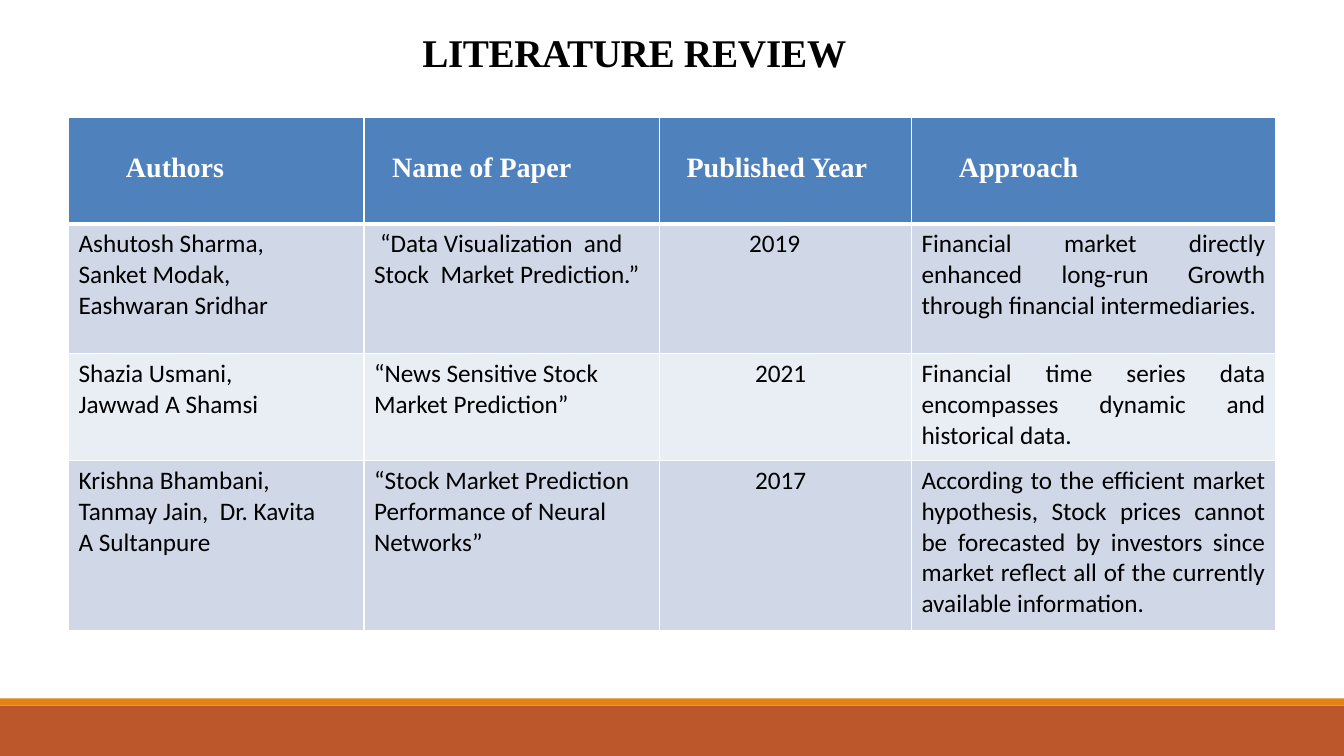
from lxml import etree
from pptx import Presentation
from pptx.dml.color import RGBColor
from pptx.enum.shapes import MSO_SHAPE
from pptx.enum.text import MSO_ANCHOR, PP_ALIGN
from pptx.oxml.ns import qn
from pptx.util import Inches, Pt

RECTANGLE = MSO_SHAPE.RECTANGLE
LEFT, JUSTIFY = PP_ALIGN.LEFT, PP_ALIGN.JUSTIFY
TOP, MIDDLE = MSO_ANCHOR.TOP, MSO_ANCHOR.MIDDLE

SLIDE_WIDTH, SLIDE_HEIGHT = 13.33, 7.5
HEADING_FONT, BODY_FONT = "Times New Roman", "Calibri"
BLACK, WHITE = "000000", "FFFFFF"
HEADER_FILL, BAND_FILLS = "4F81BD", ("D0D8E8", "E9EDF4")
CELL_MARGIN = 0.1

TABLE_LEFT, TABLE_TOP = 0.68, 1.16
COLUMN_WIDTHS = (2.93, 2.93, 2.5, 3.61)
ROW_HEIGHTS = (1.06, 1.29, 1.06, 1.69)
HEADERS = (
    ("Authors", 0.57),
    ("Name of Paper", 0.28),
    ("Published Year", 0.27),
    ("Approach", 0.47),
)
YEAR_MARGINS = (0.89, 0.95, 0.95)
PAPERS = (
    (
        ("Ashutosh Sharma,", "Sanket Modak,", "Eashwaran Sridhar"),
        "“Data Visualization  and Stock  Market Prediction.”",
        "2019",
        "Financial market directly enhanced long-run Growth through "
        "financial intermediaries.",
    ),
    (
        ("Shazia Usmani,", "Jawwad A Shamsi"),
        "“News Sensitive Stock Market Prediction”",
        "2021",
        "Financial time series data encompasses dynamic and historical data.",
    ),
    (
        ("Krishna Bhambani,", "Tanmay Jain,  Dr. Kavita", "A Sultanpure"),
        "“Stock Market Prediction Performance of Neural Networks”",
        "2017",
        "According to the efficient market hypothesis, Stock prices cannot be "
        "forecasted by investors since market reflect all of the currently "
        "available information.",
    ),
)


def color(hex_code):
    """Return the colour for a hex string."""
    return RGBColor.from_string(hex_code)


def add_run(paragraph, text, font_name, size, hex_code, bold=False):
    """Append a formatted run to a paragraph and return it."""
    run = paragraph.add_run()
    run.text = text
    run.font.name = font_name
    run.font.size = Pt(size)
    run.font.bold = bold
    run.font.color.rgb = color(hex_code)
    return run


def add_band(slide, top, height, hex_code):
    """Draw a full-width footer band."""
    band = slide.shapes.add_shape(
        RECTANGLE, 0, Inches(top), Inches(SLIDE_WIDTH), Inches(height)
    )
    band.shadow.inherit = False
    band.fill.solid()
    band.fill.fore_color.rgb = color(hex_code)
    band.line.fill.background()


def format_title(title):
    """Place the title placeholder and write its text."""
    title.left, title.top = Inches(3.75), Inches(0.25)
    title.width, title.height = Inches(5.93), Inches(0.49)
    frame = title.text_frame
    frame.word_wrap = True
    frame.vertical_anchor = MIDDLE
    frame.margin_left = Inches(0.44)
    frame.margin_top = Inches(0.03)
    frame.margin_right = frame.margin_bottom = 0
    paragraph = frame.paragraphs[0]
    paragraph.alignment = LEFT
    for text, spacing in (("LITERATURE ", -30), ("REVIEW", -10)):
        run = add_run(paragraph, text, HEADING_FONT, 28, BLACK, True)
        run.font._element.set("spc", str(spacing))


def set_borders(cell, bottom_width):
    """Give a cell white borders, ahead of its fill."""
    properties = cell._tc.get_or_add_tcPr()
    widths = (("lnL", 1), ("lnR", 1), ("lnT", 1), ("lnB", bottom_width))
    for position, (tag, width) in enumerate(widths):
        line = etree.Element(qn(f"a:{tag}"), w=str(Pt(width)))
        fill = etree.SubElement(line, qn("a:solidFill"))
        etree.SubElement(fill, qn("a:srgbClr"), val=WHITE)
        properties.insert(position, line)


def format_cell(cell, hex_code, left=CELL_MARGIN, top=0.05, bottom_width=1):
    """Set the fill, borders and margins of a cell."""
    cell.fill.solid()
    cell.fill.fore_color.rgb = color(hex_code)
    set_borders(cell, bottom_width)
    cell.vertical_anchor = TOP
    cell.margin_left, cell.margin_top = Inches(left), Inches(top)


def write_lines(cell, lines, alignment=LEFT):
    """Write one body paragraph per line."""
    frame = cell.text_frame
    for number, line in enumerate(lines):
        paragraph = frame.add_paragraph() if number else frame.paragraphs[0]
        paragraph.alignment = alignment
        add_run(paragraph, line, BODY_FONT, 18, BLACK)


def add_table(slide):
    """Add an empty table with its column widths and row heights."""
    table = slide.shapes.add_table(
        len(ROW_HEIGHTS), len(COLUMN_WIDTHS),
        Inches(TABLE_LEFT), Inches(TABLE_TOP),
        Inches(sum(COLUMN_WIDTHS)), Inches(sum(ROW_HEIGHTS)),
    ).table
    for column, width in zip(table.columns, COLUMN_WIDTHS):
        column.width = Inches(width)
    for row, height in zip(table.rows, ROW_HEIGHTS):
        row.height = Inches(height)
    return table


def fill_header(table):
    """Write the header row."""
    for column, (text, margin) in enumerate(HEADERS):
        cell = table.cell(0, column)
        format_cell(cell, HEADER_FILL, margin, 0.35, 3)
        paragraph = cell.text_frame.paragraphs[0]
        add_run(paragraph, text, HEADING_FONT, 20, WHITE, True)


def fill_papers(table):
    """Write one row per reviewed paper."""
    for row, (authors, name, year, approach) in enumerate(PAPERS, start=1):
        contents = (
            (authors, LEFT, CELL_MARGIN),
            ((name,), LEFT, CELL_MARGIN),
            ((year,), LEFT, YEAR_MARGINS[row - 1]),
            ((approach,), JUSTIFY, CELL_MARGIN),
        )
        for column, (lines, alignment, margin) in enumerate(contents):
            cell = table.cell(row, column)
            format_cell(cell, BAND_FILLS[(row - 1) % 2], margin)
            write_lines(cell, lines, alignment)
    first_name = table.cell(1, 1).text_frame.paragraphs[0]
    first_name._p.get_or_add_pPr().set("indent", str(Inches(0.06)))


def main():
    """Build and save the literature review slide."""
    presentation = Presentation()
    presentation.slide_width = Inches(SLIDE_WIDTH)
    presentation.slide_height = Inches(SLIDE_HEIGHT)
    slide = presentation.slides.add_slide(presentation.slide_layouts[5])
    slide.background.fill.solid()
    slide.background.fill.fore_color.rgb = color(WHITE)
    add_band(slide, 7, 0.5, "BC572C")
    add_band(slide, 6.93, 0.07, "E38312")
    format_title(slide.shapes.title)
    table = add_table(slide)
    fill_header(table)
    fill_papers(table)
    presentation.save("out.pptx")


if __name__ == "__main__":
    main()
